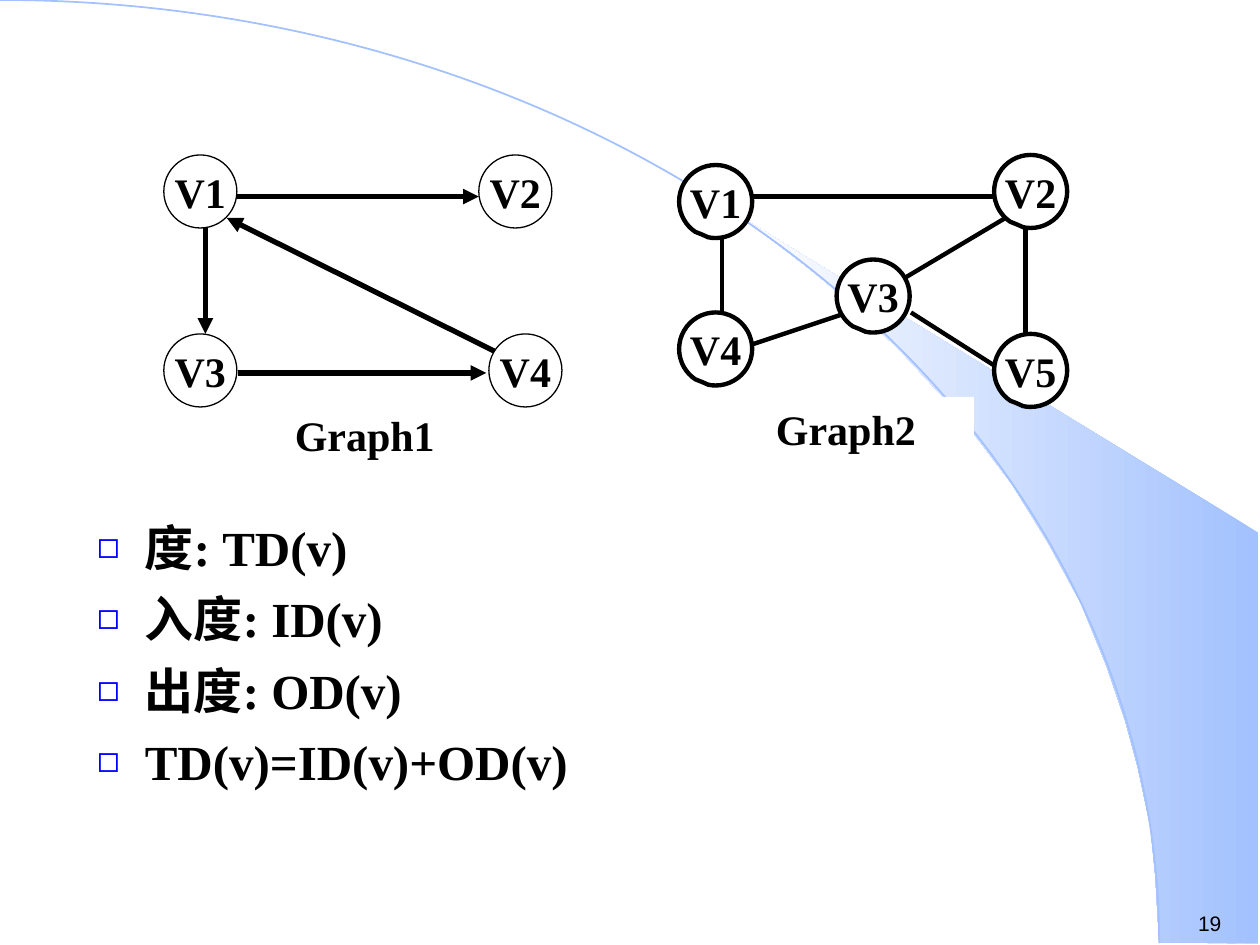
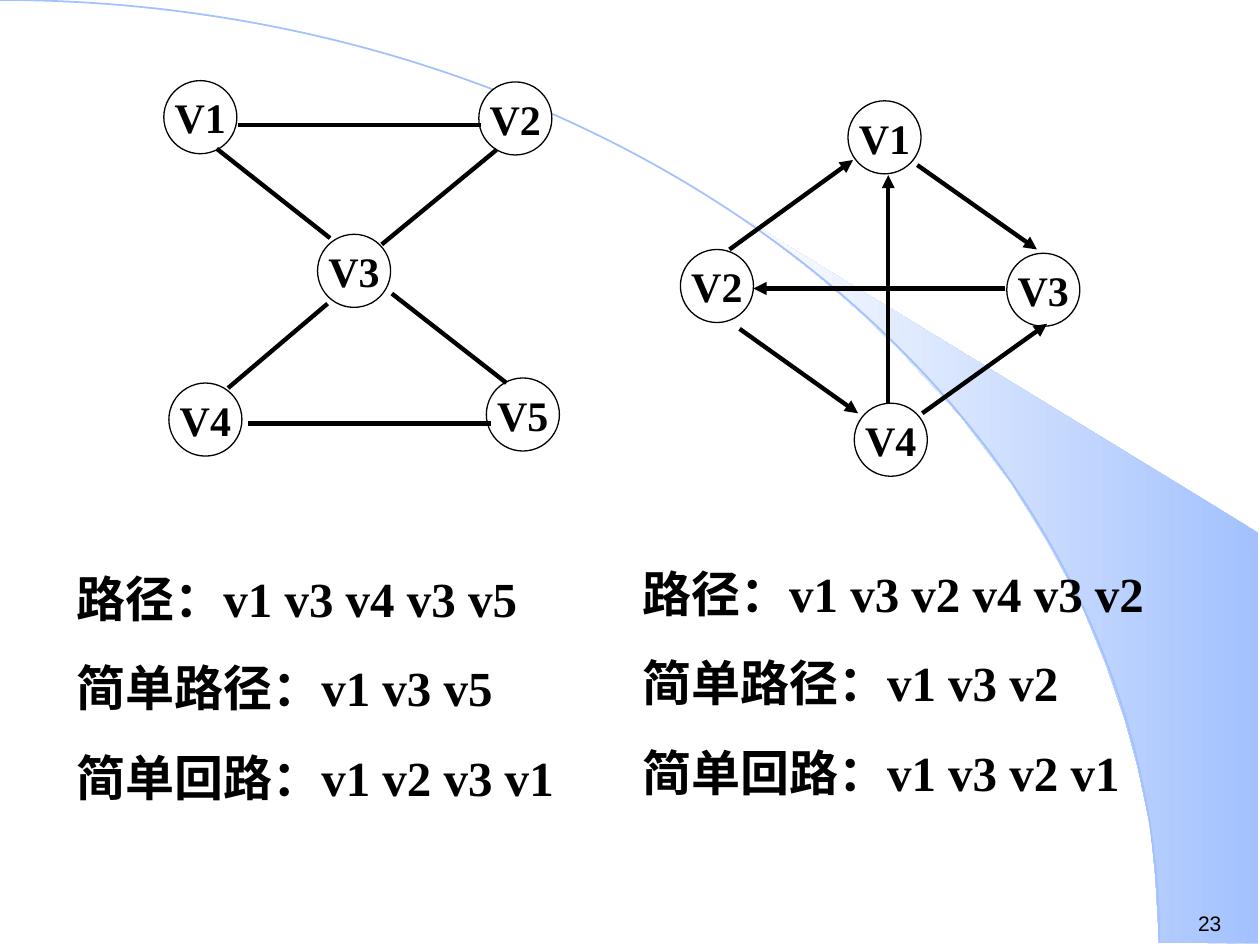
"""Build two slides on graph degrees and paths."""
from lxml.etree import SubElement
from pptx import Presentation
from pptx.dml.color import RGBColor
from pptx.enum.shapes import MSO_CONNECTOR as LINK, MSO_SHAPE as SHAPE
from pptx.enum.text import MSO_ANCHOR as ANCHOR, MSO_AUTO_SIZE as AUTO, PP_ALIGN as ALIGN
from pptx.oxml.ns import qn
from pptx.util import Pt

PX = 9144
BLACK = RGBColor(0x00, 0x00, 0x00)
WHITE = RGBColor(0xFF, 0xFF, 0xFF)
PALE = RGBColor(0xFE, 0xFE, 0xFE)
SKY = RGBColor(0xA2, 0xC1, 0xFE)
BLUE = RGBColor(0x00, 0x00, 0xFF)
SERIF, SANS = "Times New Roman", "Arial"
NODE = 58
BAND = [(920, 748), (999, 749), (999, 423), (589, 173), (624, 199), (653, 222),
        (685, 250), (716, 280), (762, 330), (803, 384), (832, 431), (858, 479),
        (878, 528), (893, 572), (903, 609), (913, 656), (917, 696)]


def emu(*sizes):
    return [size * PX for size in sizes]


def bullet(para):
    props = para._p.get_or_add_pPr()
    props.set("marL", str(38 * PX))
    props.set("indent", str(-38 * PX))
    tint = SubElement(props, qn("a:buClr"))
    SubElement(tint, qn("a:srgbClr"), val=str(BLUE))
    SubElement(props, qn("a:buSzPct"), val="75000")
    SubElement(props, qn("a:buChar"), char="◻")


class Deck:
    def __init__(self):
        self.prs = Presentation()
        self.prs.slide_width, self.prs.slide_height = emu(1000, 750)
        self.slide = None

    def page(self, layout, number):
        self.slide = self.prs.slides.add_slide(self.prs.slide_layouts[layout])
        title = self.slide.shapes.title
        if title is not None:
            title.element.getparent().remove(title.element)
        pen = self.slide.shapes.build_freeform(*BAND[0], scale=PX)
        pen.add_line_segments(BAND[1:], close=True)
        band = pen.convert_to_shape()
        band.shadow.inherit = False
        band.line.fill.background()
        band.fill.gradient()
        band.fill.gradient_angle = 180
        for stop, tint in zip(band.fill.gradient_stops, (SKY, PALE)):
            stop.color.rgb = tint
        arc = self.slide.shapes.add_shape(SHAPE.ARC, *emu(-920, 0, 1840, 1497))
        arc.shadow.inherit = False
        arc.fill.background()
        arc.line.color.rgb = SKY
        arc.line.width = Pt(1)
        self.label([str(number)], (941, 718, 59, 30), 12, face=SANS, bold=False)

    def fill(self, frame, lines, size, gap=0, face=SERIF, bold=True, align=None, mark=False):
        frame.text = "\n".join(lines)
        for i, para in enumerate(frame.paragraphs):
            if mark:
                bullet(para)
            para.space_before = Pt(gap if i else 0)
            para.alignment = align
            font = para.font
            font.name, font.size, font.bold = face, Pt(size), bold
            font.color.rgb = BLACK

    def label(self, lines, area, size, back=None, wrap=True, **style):
        box = self.slide.shapes.add_textbox(*emu(*area))
        box.text_frame.word_wrap = wrap
        if back is not None:
            box.fill.solid()
            box.fill.fore_color.rgb = back
        self.fill(box.text_frame, lines, size, **style)

    def items(self, lines, area):
        body = self.slide.placeholders[1]
        body.left, body.top, body.width, body.height = emu(*area)
        self.slide.shapes.element.append(body.element)
        body.text_frame.auto_size = AUTO.NONE
        self.fill(body.text_frame, lines, 28, gap=7, mark=True)

    def nodes(self, spots, kind=SHAPE.FLOWCHART_CONNECTOR, width=0.75, tip=()):
        for i, (x, y) in enumerate(spots, 1):
            node = self.slide.shapes.add_shape(kind, *emu(x, y, NODE, NODE))
            for k, value in enumerate(tip):
                node.adjustments[k] = value
            node.shadow.inherit = False
            node.fill.solid()
            node.fill.fore_color.rgb = WHITE
            node.line.color.rgb = BLACK
            node.line.width = Pt(width)
            frame = node.text_frame
            frame.word_wrap = False
            frame.vertical_anchor = ANCHOR.MIDDLE
            self.fill(frame, [f"V{i}"], 24, align=ALIGN.CENTER)

    def edges(self, ends, width=2.5, arrow=False):
        for end in ends:
            edge = self.slide.shapes.add_connector(LINK.STRAIGHT, *emu(*end))
            edge.line.color.rgb = BLACK
            edge.line.width = Pt(width)
            if arrow:
                line = edge.element.spPr.find(qn("a:ln"))
                SubElement(line, qn("a:tailEnd"), type="triangle")
            SubElement(edge.element.spPr, qn("a:effectLst"))


def degrees(deck):
    deck.page(1, 19)
    deck.items(["度: TD(v)", "入度: ID(v)", "出度: OD(v)", "TD(v)=ID(v)+OD(v)"],
               (67, 406, 894, 244))
    deck.edges([(573, 190, 573, 256), (598, 156, 789, 156), (814, 181, 814, 273),
                (789, 290, 723, 248), (798, 173, 714, 223), (673, 248, 598, 273)])
    deck.label(["Graph2"], (606, 315, 167, 50), 24, back=WHITE)
    deck.nodes([(539, 131), (789, 123), (664, 206), (539, 248), (789, 265)],
               SHAPE.OVAL_CALLOUT, 2.5, (-0.19, 0.45))
    deck.edges([(163, 181, 163, 265), (188, 156, 380, 156),
                (189, 296, 386, 296), (397, 281, 180, 173)], 3, True)
    deck.nodes([(130, 123), (380, 123), (130, 265), (388, 265)])
    deck.label(["Graph1"], (224, 320, 131, 50), 24, wrap=False, align=ALIGN.CENTER)


def routes(deck):
    deck.page(6, 23)
    deck.nodes([(130, 64), (380, 65), (252, 186), (134, 304), (386, 300)])
    deck.edges([(189, 99, 382, 99), (197, 336, 390, 336), (181, 308, 260, 241),
                (311, 233, 402, 304), (172, 118, 262, 189), (303, 194, 394, 119)])
    deck.edges([(705, 320, 705, 139), (798, 229, 598, 229)], arrow=True)
    deck.nodes([(673, 80), (540, 198), (799, 201), (678, 320)])
    deck.edges([(728, 131, 823, 198), (587, 261, 681, 328),
                (579, 198, 677, 127), (732, 328, 831, 257)], arrow=True)
    deck.label(["路径：v1 v3 v4 v3 v5", "简单路径：v1 v3 v5", "简单回路：v1 v2 v3 v1"],
               (51, 446, 429, 199), 28, gap=17.5)
    deck.label(["路径：v1 v3 v2 v4 v3 v2", "简单路径：v1 v3 v2", "简单回路：v1 v3 v2 v1"],
               (500, 442, 441, 199), 28, gap=17.5)


def main():
    deck = Deck()
    degrees(deck)
    routes(deck)
    deck.prs.save("out.pptx")


if __name__ == "__main__":
    main()
